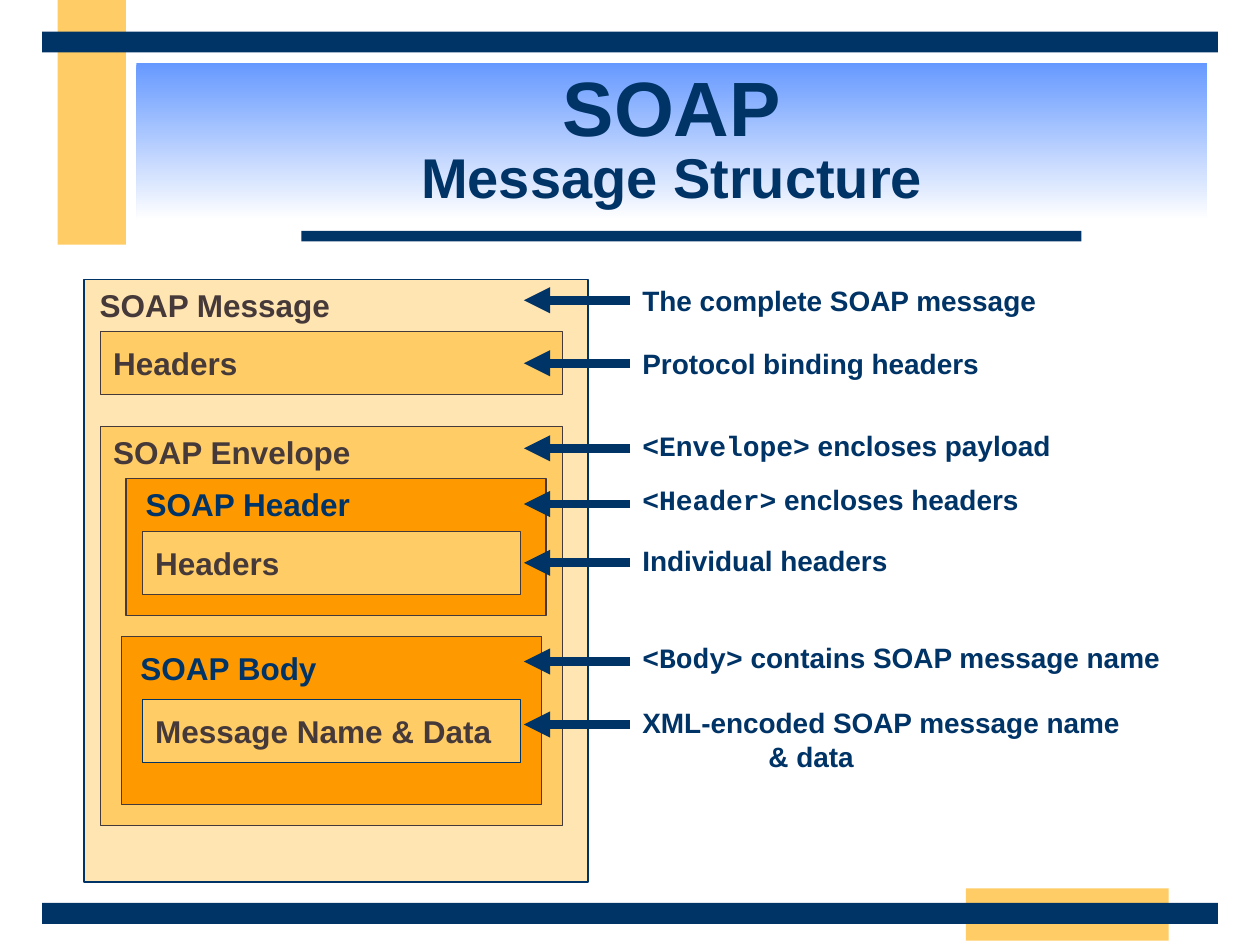
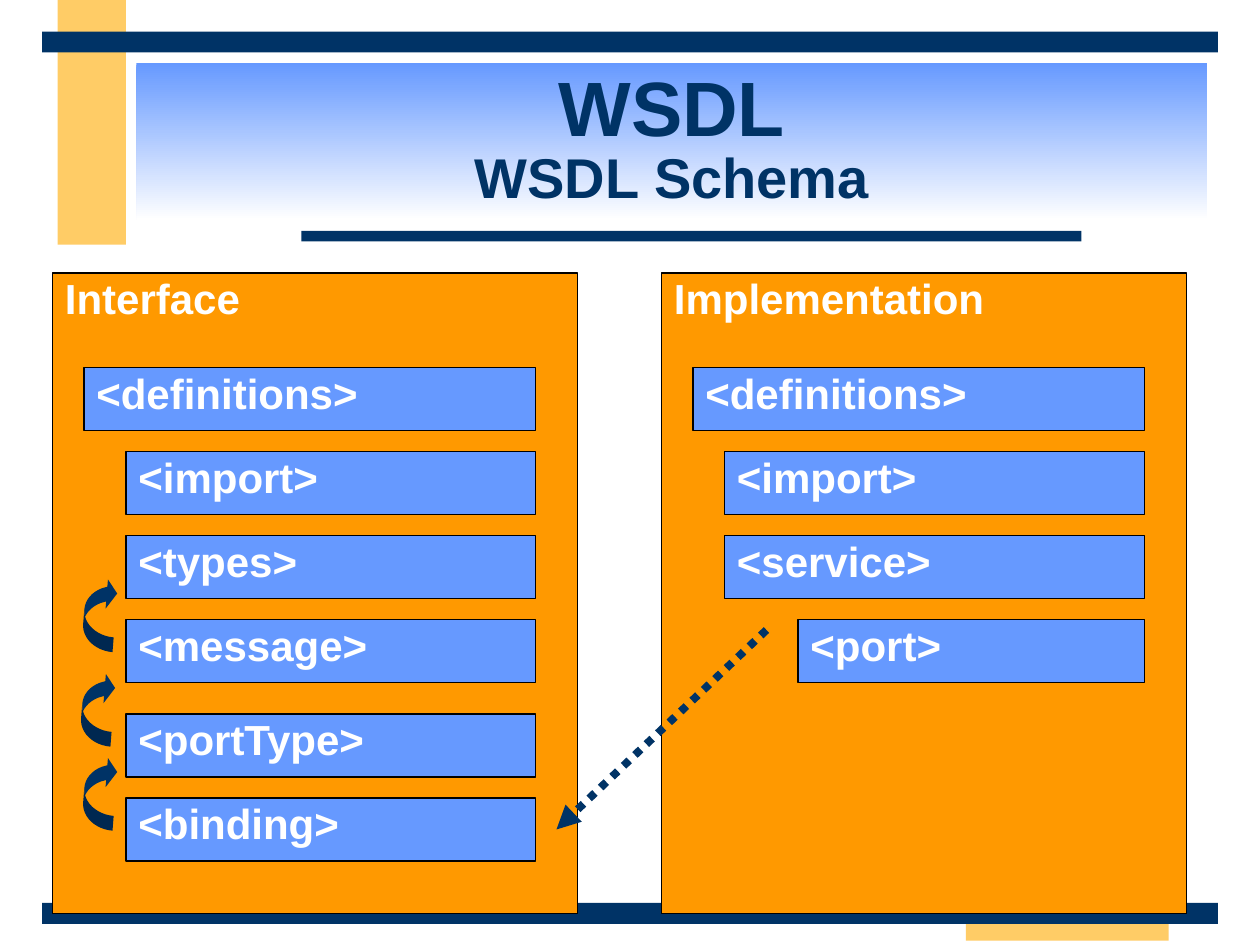
from lxml import etree
from pptx import Presentation
from pptx.dml.color import RGBColor
from pptx.enum.dml import MSO_LINE
from pptx.enum.shapes import MSO_CONNECTOR, MSO_SHAPE
from pptx.enum.text import MSO_ANCHOR, PP_ALIGN
from pptx.oxml.ns import qn
from pptx.util import Pt

PX = 7620  # 120 px to the inch
NAVY = RGBColor(0x00, 0x33, 0x66)
SAND = RGBColor(0xFF, 0xCC, 0x66)
ORANGE = RGBColor(0xFF, 0x99, 0x00)
BLUE = RGBColor(0x66, 0x99, 0xFF)
BROWN = RGBColor(0x45, 0x39, 0x39)
WHITE = RGBColor(0xFF, 0xFF, 0xFF)
BLACK = RGBColor(0x00, 0x00, 0x00)
SANS, MONO = "Arial", "Courier New"
RECTANGLE, CURVED_ARROW = MSO_SHAPE.RECTANGLE, MSO_SHAPE.CURVED_LEFT_ARROW
STRAIGHT, DOTTED = MSO_CONNECTOR.STRAIGHT, MSO_LINE.ROUND_DOT
TOP, MIDDLE = MSO_ANCHOR.TOP, MSO_ANCHOR.MIDDLE
LEFT, CENTER = PP_ALIGN.LEFT, PP_ALIGN.CENTER


def add_box(page, bounds, fill, line=None, kind=RECTANGLE):
    box = page.shapes.add_shape(kind, *[PX * n for n in bounds])
    box.shadow.inherit = False
    box.fill.solid()
    box.fill.fore_color.rgb = fill
    if line is None:
        box.line.fill.background()
    else:
        box.line.color.rgb = line
        box.line.width = Pt(0.75)
    return box


def write(box, text, size=18, color=NAVY, font=SANS, anchor=MIDDLE,
          align=LEFT, wrap=False, inset=6, spacing=None):
    """Append text to the box's paragraph; a newline becomes a line break."""
    frame = box.text_frame
    frame.word_wrap = wrap
    frame.vertical_anchor = anchor
    frame.margin_top = frame.margin_bottom = PX * inset
    para = frame.paragraphs[0]
    para.alignment = align
    para.line_spacing = spacing
    for index, line in enumerate(text.split("\n")):
        if index:
            para.add_line_break()
        if line:
            span = para.add_run()
            span.text = line
            span.font.name = font
            span.font.size = Pt(size)
            span.font.bold = True
            span.font.color.rgb = color


deck = Presentation()
deck.slide_width, deck.slide_height = PX * 1200, PX * 900

# Shared bands and titles
bands = [
    ((55, 0, 65, 233), SAND),
    ((920, 846, 193, 50), SAND),
    ((287, 220, 743, 10), NAVY),
    ((40, 860, 1120, 20), NAVY),
    ((40, 30, 1120, 20), NAVY),
]
pages = []
for heading, subheading in [("SOAP", "Message Structure"), ("WSDL", "WSDL Schema")]:
    page = deck.slides.add_slide(deck.slide_layouts[6])
    pages.append(page)
    for bounds, fill in bands:
        add_box(page, bounds, fill)
    title = add_box(page, (130, 60, 1020, 150), BLUE)
    title.fill.gradient()
    title.fill.gradient_angle = 270
    for stop, color, position in zip(title.fill.gradient_stops, (BLUE, WHITE), (0, 1)):
        stop.color.rgb = color
        stop.position = position
    for text, size in [(heading + "\n", 44), (subheading, 32)]:
        write(title, text, size=size, align=CENTER, wrap=True, spacing=0.85)
soap_page, wsdl_page = pages
arrows = []

# SOAP: nested message parts
message = add_box(soap_page, (80, 266, 480, 574), SAND, NAVY)
color_node = message.fill._xPr.find(qn("a:solidFill"))[0]
etree.SubElement(color_node, qn("a:alpha")).set("val", "50000")

parts = [
    ((96, 406, 440, 380), SAND, BROWN, ""),
    ((120, 456, 400, 130), ORANGE, BROWN, ""),
    ((116, 606, 400, 160), ORANGE, BROWN, ""),
    ((136, 666, 360, 60), SAND, NAVY, "Message Name & Data"),
    ((136, 506, 360, 60), SAND, BROWN, "Headers"),
    ((96, 316, 440, 60), SAND, BROWN, "Headers"),
]
for bounds, fill, line, text in parts:
    write(add_box(soap_page, bounds, fill, line), text, color=BROWN)

part_labels = [
    (83, 260, "SOAP Message", BROWN),
    (96, 400, "SOAP Envelope", BROWN),
    (127, 450, "SOAP Header", NAVY),
    (122, 606, "SOAP Body", NAVY),
]
for left, top, text, color in part_labels:
    label = soap_page.shapes.add_textbox(PX * left, PX * top, PX * 320, PX * 60)
    write(label, text, color=color)

# SOAP: top, tag, explanation and arrow height of each note
notes = [
    (256, "", "The complete SOAP message", 286),
    (316, "", "Protocol binding headers", 346),
    (394, "<Envelope>", " encloses payload", 427),
    (446, "<Header>", " encloses headers", 480),
    (504, "", "Individual headers", 536),
    (596, "<Body>", " contains SOAP message name", 630),
    (674, "", "XML-encoded SOAP message name \n\t& data", 690),
]
for top, tag, explanation, arrow_y in notes:
    note = soap_page.shapes.add_textbox(PX * 600, PX * top, PX * 560, PX * 60)
    write(note, tag, size=16, font=MONO, wrap=True)
    write(note, explanation, size=16, wrap=True)
    if "\t" in explanation:
        para_format = note.text_frame.paragraphs[0]._p.get_or_add_pPr()
        tab_list = etree.SubElement(para_format, qn("a:tabLst"))
        etree.SubElement(tab_list, qn("a:tab"), pos=str(PX * 120), algn="l")
    arrow = soap_page.shapes.add_connector(
        STRAIGHT, PX * 600, PX * arrow_y, PX * 499, PX * arrow_y)
    if arrow_y == top + 30:
        arrow.begin_connect(note, 1)
    arrow.line.width = Pt(5)
    arrows.append(arrow)

# WSDL: each panel has elements as (left, top, name), ending at one right edge
panels = [
    (630, "Implementation", 1090, [
        (660, 350, "<definitions>"), (690, 430, "<import>"),
        (690, 510, "<service>"), (760, 590, "<port>")]),
    (50, "Interface", 510, [
        (80, 350, "<definitions>"), (120, 430, "<import>"),
        (120, 510, "<types>"), (120, 590, "<message>"),
        (120, 680, "<portType>"), (120, 760, "<binding>")]),
]
for panel_left, panel_name, right, elements in panels:
    panel = add_box(wsdl_page, (panel_left, 260, 500, 610), ORANGE, BLACK)
    write(panel, panel_name, size=24, color=WHITE, anchor=TOP, inset=0)
    for left, top, name in elements:
        element = add_box(wsdl_page, (left, top, right - left, 60), BLUE, BLACK)
        write(element, name, size=24, color=WHITE, anchor=TOP, inset=0)

for left, top in [(80, 720), (78, 640), (80, 550)]:
    reference = add_box(wsdl_page, (left, top, 30, 70), NAVY, kind=CURVED_ARROW)
    reference.rotation = 184.6
    for index, value in enumerate((0.47, 0.93, 0.33)):
        reference.adjustments[index] = value

port_link = wsdl_page.shapes.add_connector(
    STRAIGHT, PX * 730, PX * 600, PX * 530, PX * 790)
port_link.line.width = Pt(4.5)
port_link.line.dash_style = DOTTED
arrows.append(port_link)

# Shared arrow style
for arrow in arrows:
    arrow.line.color.rgb = NAVY
    line_node = arrow.line._get_or_add_ln()
    etree.SubElement(line_node, qn("a:tailEnd")).set("type", "triangle")
    etree.SubElement(arrow._element.spPr, qn("a:effectLst"))

deck.save("out.pptx")
